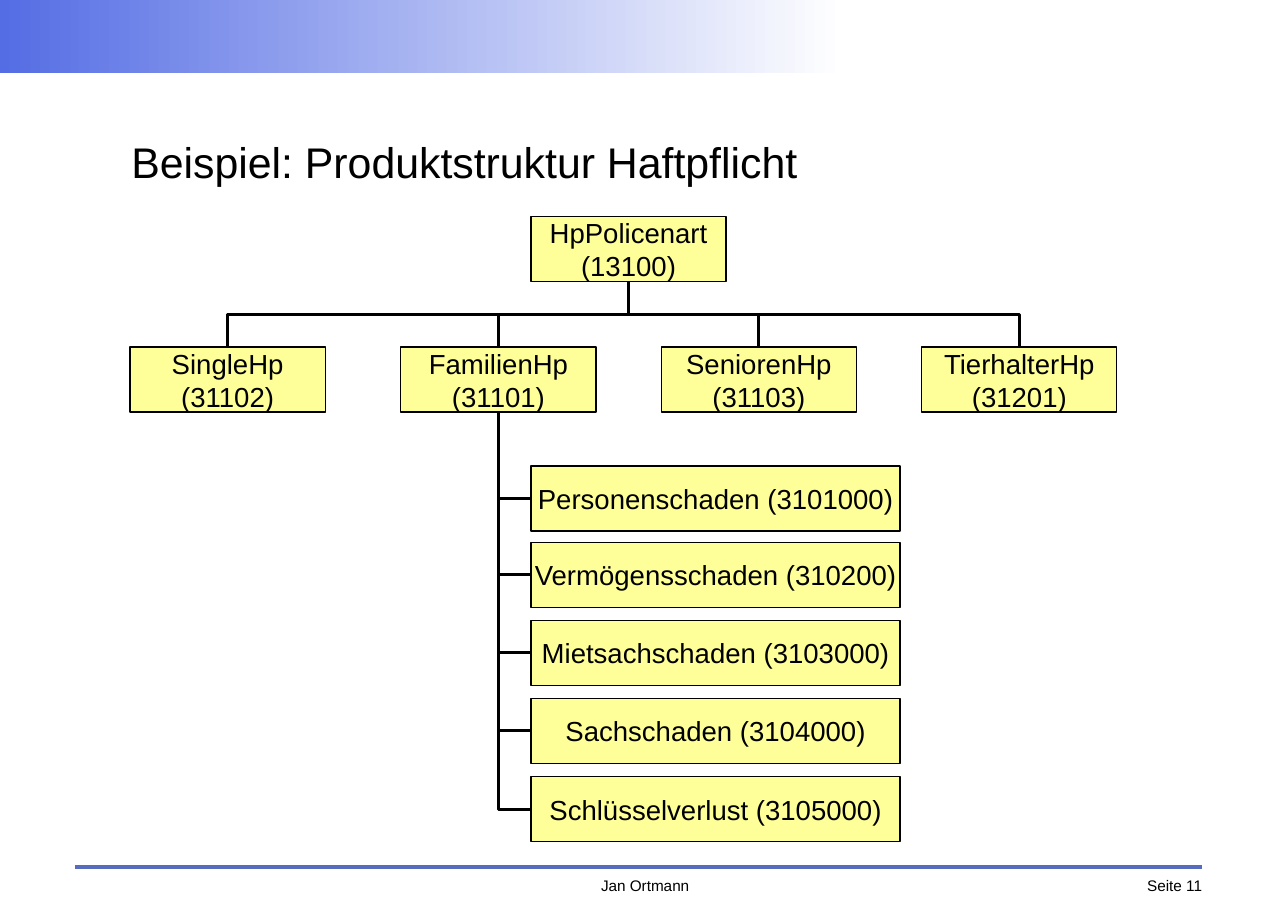
import dataclasses

import pptx
import pptx.dml.color
import pptx.enum.shapes
import pptx.enum.text
import pptx.oxml
import pptx.oxml.ns
import pptx.util

Pt = pptx.util.Pt
RGB = pptx.dml.color.RGBColor.from_string
ALIGN = pptx.enum.text.PP_ALIGN
ANCHOR = pptx.enum.text.MSO_ANCHOR
SHAPE = pptx.enum.shapes.MSO_SHAPE
CONNECTOR = pptx.enum.shapes.MSO_CONNECTOR
qn = pptx.oxml.ns.qn


@dataclasses.dataclass(frozen=True)
class Theme:
    """Colours, font and type sizes of the slide."""
    font: str = "Arial"
    text: str = "000000"
    node: str = "FFFF99"
    rule: str = "576BBF"
    band: str = "556DE4"
    band_end: str = "FFFFFF"
    title_size: int = 28
    node_size: int = 18
    footer_size: int = 10


THEME = Theme()
BOX_W, BOX_H = 127.5, 42.5
ROOT_LEFT, ROOT_TOP = 347, 141.8
POLICY_TOP = 226.8
COVER_W = 241.2
TOP_SITE, LEFT_SITE, BOTTOM_SITE = 0, 1, 2

POLICIES = [
    (85, ["SingleHp", "(31102)"]),
    (262, ["FamilienHp", "(31101)"]),
    (432.2, ["SeniorenHp", "(31103)"]),
    (602.4, ["TierhalterHp", "(31201)"]),
]
COVERS = [
    (304.6, "Personenschaden (3101000)"),
    (354.4, "Vermögensschaden (310200)"),
    (405.4, "Mietsachschaden (3103000)"),
    (456.5, "Sachschaden (3104000)"),
    (507.6, "Schlüsselverlust (3105000)"),
]


def write(tf, lines, size, align, anchor):
    """Fill a text frame without margins, one paragraph per line."""
    tf.margin_left = tf.margin_right = tf.margin_top = tf.margin_bottom = 0
    tf.vertical_anchor = anchor
    for i, line in enumerate(lines):
        p = tf.add_paragraph() if i else tf.paragraphs[0]
        p.alignment = align
        r = p.add_run()
        r.text = line
        r.font.name = THEME.font
        r.font.size = Pt(size)
        r.font.color.rgb = RGB(THEME.text)


def add_label(s, box, text, size, align, anchor=ANCHOR.TOP):
    """Add a line of free text."""
    tf = s.shapes.add_textbox(*map(Pt, box)).text_frame
    tf.word_wrap = True
    write(tf, [text], size, align, anchor)


def add_node(s, left, top, width, lines):
    """Add a yellow box of the product tree."""
    sp = s.shapes.add_shape(SHAPE.RECTANGLE, Pt(left), Pt(top), Pt(width), Pt(BOX_H))
    sp.shadow.inherit = False
    sp.fill.solid()
    sp.fill.fore_color.rgb = RGB(THEME.node)
    sp.line.color.rgb = RGB(THEME.text)
    sp.line.width = Pt(0)
    sp.text_frame.word_wrap = False
    write(sp.text_frame, lines, THEME.node_size, ALIGN.CENTER, ANCHOR.MIDDLE)
    return sp


def style_line(c, color, width):
    """Give a connector its colour and width and take away its shadow."""
    c.line.color.rgb = RGB(color)
    c.line.width = Pt(width)
    c.element.spPr.append(pptx.oxml.parse_xml(
        f'<a:effectLst {pptx.oxml.ns.nsdecls("a")}/>'))


def add_branch(s, parent, child, site):
    """Join the bottom of a parent to the top or left of a child by an elbow that starts downwards."""
    x1, y1 = parent.left + parent.width // 2, parent.top + parent.height
    if site == TOP_SITE:
        x2, y2, preset = child.left + child.width // 2, child.top, "bentConnector3"
    else:
        x2, y2, preset = child.left, child.top + child.height // 2, "bentConnector2"
    c = s.shapes.add_connector(CONNECTOR.ELBOW, x1, y1, x2, y2)
    c.begin_connect(parent, BOTTOM_SITE)
    c.end_connect(child, site)
    c.width, c.height = y2 - y1, abs(x2 - x1)
    c.left = (x1 + x2 - c.width) // 2
    c.top = (y1 + y2 - c.height) // 2
    xfrm = c.element.spPr.find(qn("a:xfrm"))
    xfrm.set("rot", "5400000")
    xfrm.set("flipH", "0")
    xfrm.set("flipV", "1" if x2 > x1 else "0")
    c.element.spPr.find(qn("a:prstGeom")).set("prst", preset)
    style_line(c, THEME.text, 0)


def add_frame(s):
    """Add the header band, the footer rule and the footer texts."""
    band = s.shapes.add_shape(SHAPE.RECTANGLE, 0, 0, Pt(552.2), Pt(48))
    band.shadow.inherit = False
    band.line.fill.background()
    band.fill.gradient()
    band.fill.gradient_angle = 0
    for stop, color in zip(band.fill.gradient_stops, (THEME.band, THEME.band_end)):
        stop.color.rgb = RGB(color)
    rule = s.shapes.add_connector(CONNECTOR.STRAIGHT, Pt(49), Pt(566.6), Pt(785.5), Pt(566.6))
    style_line(rule, THEME.rule, 2.83)
    add_label(s, (363.6, 572.4, 116, 14), "Jan Ortmann", THEME.footer_size, ALIGN.CENTER)
    add_label(s, (704.5, 572.4, 81, 14), "Seite 11", THEME.footer_size, ALIGN.RIGHT)


def add_tree(s):
    """Add the product tree with its branches."""
    root = add_node(s, ROOT_LEFT, ROOT_TOP, BOX_W, ["HpPolicenart", "(13100)"])
    policies = [add_node(s, left, POLICY_TOP, BOX_W, lines) for left, lines in POLICIES]
    covers = [add_node(s, ROOT_LEFT, top, COVER_W, [text]) for top, text in COVERS]
    family = policies[1]
    for cover in covers:
        add_branch(s, family, cover, LEFT_SITE)
    for policy in policies:
        add_branch(s, root, policy, TOP_SITE)


def main():
    """Build the slide and save it."""
    prs = pptx.Presentation()
    prs.slide_width, prs.slide_height = Pt(841.68), Pt(595.44)
    s = prs.slides.add_slide(prs.slide_layouts[6])
    add_frame(s)
    add_label(s, (85.8, 68.6, 670.2, 73.4), "Beispiel: Produktstruktur Haftpflicht",
              THEME.title_size, ALIGN.LEFT, ANCHOR.MIDDLE)
    add_tree(s)
    prs.save("out.pptx")


if __name__ == "__main__":
    main()
